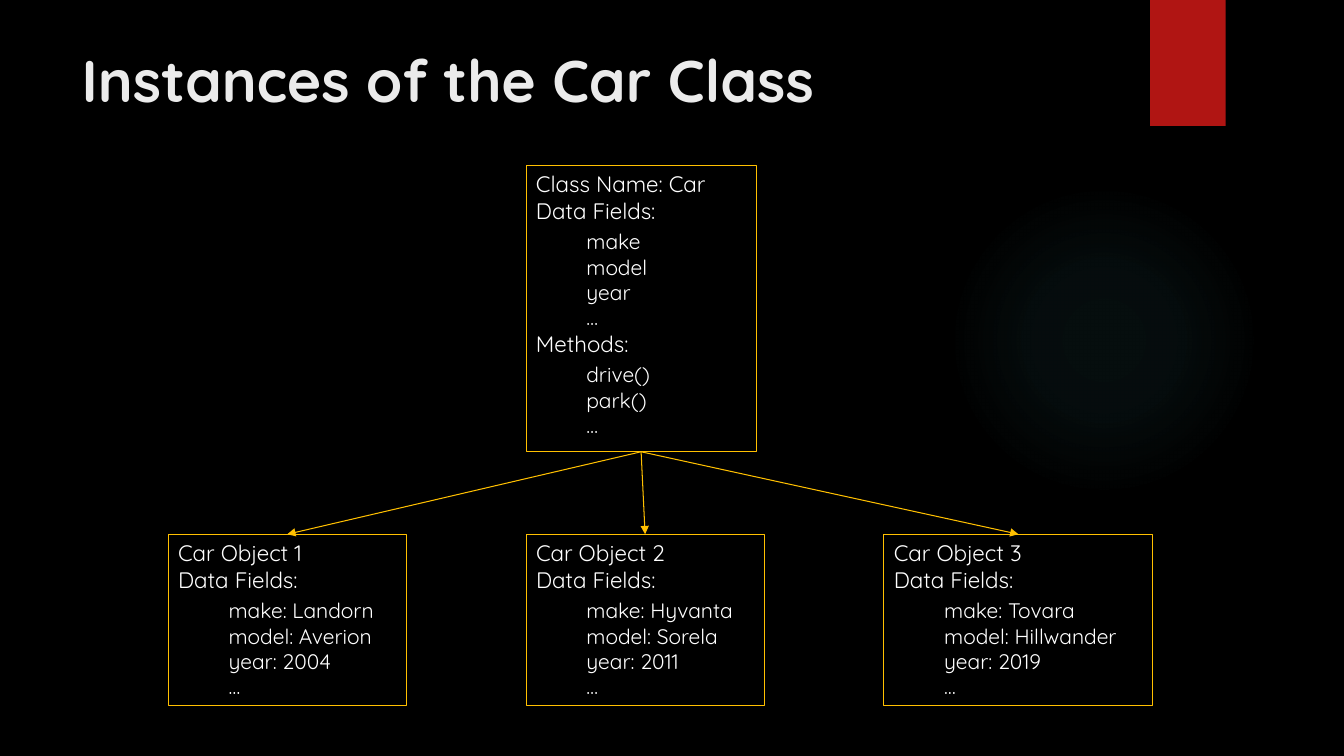
from lxml.etree import SubElement
from pptx import Presentation
from pptx.dml.color import RGBColor
from pptx.enum.shapes import MSO_CONNECTOR, MSO_SHAPE
from pptx.enum.text import MSO_ANCHOR, PP_ALIGN
from pptx.oxml import parse_xml
from pptx.oxml.ns import nsdecls, qn
from pptx.util import Pt

COLORS = {"back": "000000", "title": "EBEBEB", "text": "FFFFFF",
          "line": "FFC000", "ribbon": "B01513", "glow": "50B9C1"}
FONT = "Quicksand"
CLASS_BOX = (375.8, 118, 164.3, 204.7)
CLASS_TEXT = [("Class Name: Car", []),
              ("Data Fields:", ["make", "model", "year", "…"]),
              ("Methods:", ["drive()", "park()", "…"])]
OBJECT_TOP, OBJECT_HEIGHT, OBJECT_PITCH = 381.6, 122.4, 255.6
OBJECTS = [("Landorn", "Averion", 2004, 170),
           ("Hyvanta", "Sorela", 2011, 170),
           ("Tovara", "Hillwander", 2019, 192.2)]


def rgb(name):
    """Return the named colour."""
    return RGBColor.from_string(COLORS[name])


def style(font, size, color, bold=False):
    """Set the font of a paragraph."""
    font.name, font.size, font.bold = FONT, Pt(size), bold
    font.color.rgb = rgb(color)


def add_shape(s, kind, box):
    """Add a shape without shadow or outline."""
    sp = s.shapes.add_shape(kind, *map(Pt, box))
    sp.shadow.inherit = False
    sp.line.fill.background()
    return sp


def add_decor(s, glow_box, ribbon_box):
    """Add the faint round glow and the red ribbon."""
    glow = add_shape(s, MSO_SHAPE.OVAL, glow_box)
    stops = "".join(
        f'<a:gs pos="{pos}000"><a:srgbClr val="{COLORS["glow"]}">'
        f'<a:alpha val="{alpha}000"/></a:srgbClr></a:gs>'
        for pos, alpha in ((0, 7), (36, 6), (69, 0)))
    grad = parse_xml(
        f'<a:gradFill {nsdecls("a")}><a:gsLst>{stops}</a:gsLst><a:path path="circle">'
        '<a:fillToRect l="50000" t="50000" r="50000" b="50000"/></a:path></a:gradFill>')
    glow._element.spPr.find(qn("a:prstGeom")).addnext(grad)
    ribbon = add_shape(s, MSO_SHAPE.RECTANGLE, ribbon_box)
    ribbon.fill.solid()
    ribbon.fill.fore_color.rgb = rgb("ribbon")


def add_title(s, text, box):
    """Place and format the title."""
    sp = s.shapes.title
    sp.left, sp.top, sp.width, sp.height = map(Pt, box)
    tf = sp.text_frame
    tf.text, tf.vertical_anchor = text, MSO_ANCHOR.TOP
    p = tf.paragraphs[0]
    p.alignment = PP_ALIGN.LEFT
    style(p.font, 42, "title", True)


def add_card(s, sections, box):
    """Add an outlined box of headings with indented entries."""
    sp = add_shape(s, MSO_SHAPE.RECTANGLE, box)
    sp.fill.background()
    sp.line.color.rgb, sp.line.width = rgb("line"), Pt(0.75)
    tf = sp.text_frame
    tf.word_wrap, tf.vertical_anchor = True, MSO_ANCHOR.TOP
    lines = [line for head, entries in sections
             for line in [(head, None), *((e, i) for i, e in enumerate(entries))]]
    for n, (text, index) in enumerate(lines):
        p = tf.paragraphs[0] if n == 0 else tf.add_paragraph()
        p.text, p.alignment = text, PP_ALIGN.LEFT
        style(p.font, 16 if index is None else 15, "text")
        if index is not None:
            p._p.get_or_add_pPr().set("marL", str(Pt(36)))
        if index == 0:
            p.space_before, p.space_after = Pt(3), Pt(0.75)
    return sp


def add_arrow(s, card, target):
    """Join the bottom of one card to the top of another."""
    c = s.shapes.add_connector(MSO_CONNECTOR.STRAIGHT, 0, 0, 0, 0)
    c.begin_connect(card, 2)
    c.end_connect(target, 0)
    c.line.color.rgb, c.line.width = rgb("line"), Pt(0.75)
    SubElement(c.line._get_or_add_ln(), qn("a:tailEnd"), type="triangle")
    SubElement(c._element.spPr, qn("a:effectLst"))


def add_diagram(s, box):
    """Add the class card with its object cards and arrows."""
    left, _, _, _ = box
    class_card = add_card(s, CLASS_TEXT, box)
    cards = []
    for i, (make, model, year, width) in enumerate(OBJECTS):
        fields = [f"make: {make}", f"model: {model}", f"year: {year}", "…"]
        sections = [(f"Car Object {i + 1}", []), ("Data Fields:", fields)]
        x = left + (i - 1) * OBJECT_PITCH
        cards.append(add_card(s, sections, (x, OBJECT_TOP, width, OBJECT_HEIGHT)))
    for card in cards:
        add_arrow(s, class_card, card)


def main():
    """Build the slide and save it."""
    prs = Presentation()
    prs.slide_width, prs.slide_height = Pt(960), Pt(540)
    s = prs.slides.add_slide(prs.slide_layouts[5])
    s.background.fill.solid()
    s.background.fill.fore_color.rgb = rgb("back")
    add_decor(s, (677.5, 131.8, 221.8, 221.8), (821.5, 0, 54, 90))
    add_title(s, "Instances of the Car Class", (51.1, 27.4, 740.9, 74.2))
    add_diagram(s, CLASS_BOX)
    prs.save("out.pptx")


if __name__ == "__main__":
    main()
